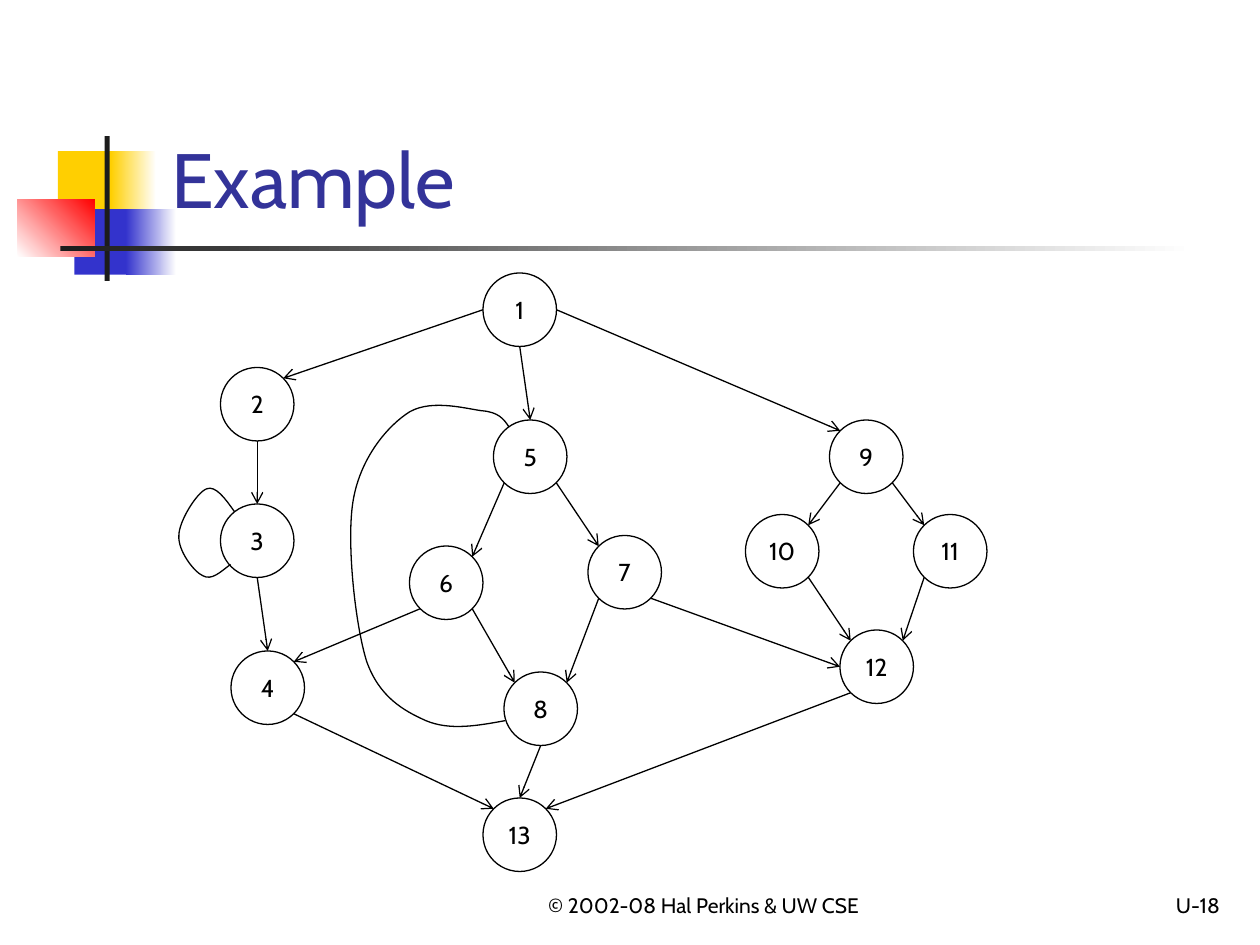
from math import sqrt

from lxml import etree
from pptx import Presentation
from pptx.dml.color import RGBColor
from pptx.enum.shapes import MSO_CONNECTOR, MSO_SHAPE
from pptx.enum.text import MSO_ANCHOR, PP_ALIGN
from pptx.oxml.ns import qn
from pptx.util import Inches, Pt

STRAIGHT = MSO_CONNECTOR.STRAIGHT
RECTANGLE, OVAL = MSO_SHAPE.RECTANGLE, MSO_SHAPE.OVAL
MIDDLE, BOTTOM = MSO_ANCHOR.MIDDLE, MSO_ANCHOR.BOTTOM
LEFT, CENTER, RIGHT = PP_ALIGN.LEFT, PP_ALIGN.CENTER, PP_ALIGN.RIGHT

FONT = "Cabin"
COLORS = {
    "yellow": "FFCF01", "blue": "3333CC", "red": "FF0000", "bar": "1C1C1C",
    "white": "FFFFFF", "title": "333399", "ink": "000000",
}
LINE_WIDTH = Pt(0.75)

GRID = 1 / 12  # inches per grid step
NODE_STEPS = 7  # node diameter in grid steps

# Column and row of each node's top left corner
NODES = {
    1: (46, 26), 2: (21, 35), 3: (21, 48), 4: (22, 62), 5: (47, 40),
    6: (39, 52), 7: (56, 51), 8: (48, 64), 9: (79, 40), 10: (71, 49),
    11: (87, 49), 12: (80, 60), 13: (46, 76),
}

DIAGONAL = 1 / sqrt(2)
SITES = {
    "top": (0, -1), "bottom": (0, 1), "left": (-1, 0), "right": (1, 0),
    "top left": (-DIAGONAL, -DIAGONAL), "top right": (DIAGONAL, -DIAGONAL),
    "bottom left": (-DIAGONAL, DIAGONAL), "bottom right": (DIAGONAL, DIAGONAL),
}

EDGES = [
    (1, "bottom", 5, "top"), (1, "right", 9, "top left"),
    (9, "bottom left", 10, "top right"), (9, "bottom right", 11, "top left"),
    (10, "bottom right", 12, "top left"), (11, "bottom left", 12, "top right"),
    (7, "bottom right", 12, "left"), (5, "bottom right", 7, "top left"),
    (5, "bottom left", 6, "top right"), (6, "bottom right", 8, "top left"),
    (7, "bottom left", 8, "top right"), (8, "bottom", 13, "top"),
    (12, "bottom left", 13, "top right"), (4, "bottom right", 13, "top left"),
    (6, "bottom left", 4, "top right"), (1, "left", 2, "top right"),
    (2, "bottom", 3, "top"), (3, "bottom", 4, "top"),
]

# Start point, then two control points and an end point per Bézier segment
LOOP_AT_3 = [
    (1.83, 4.48), (1.75, 4.54), (1.68, 4.61), (1.61, 4.57),
    (1.54, 4.54), (1.41, 4.37), (1.42, 4.25),
    (1.42, 4.14), (1.56, 3.91), (1.64, 3.88),
    (1.71, 3.85), (1.79, 3.96), (1.86, 4.06),
]
LOOP_8_TO_5 = [
    (4.01, 5.72), (3.79, 5.76), (3.57, 5.8), (3.38, 5.72),
    (3.2, 5.64), (3.01, 5.53), (2.91, 5.25),
    (2.82, 4.96), (2.75, 4.32), (2.8, 3.99),
    (2.85, 3.66), (3.05, 3.41), (3.22, 3.29),
    (3.39, 3.16), (3.68, 3.24), (3.82, 3.26),
    (3.96, 3.27), (4, 3.33), (4.04, 3.39),
]

# Left, top, width, height, colours (two make a gradient), gradient angle
DECORATION = [
    (0.46, 1.2, 0.48, 0.52, ["yellow"], 0),
    (0.88, 1.2, 0.36, 0.52, ["yellow", "white"], 0),
    (0.59, 1.66, 0.46, 0.52, ["blue"], 0),
    (1, 1.66, 0.4, 0.52, ["blue", "white"], 0),
    (0.14, 1.58, 0.61, 0.46, ["white", "red"], 45),
    (0.83, 1.08, 0.04, 1.15, ["bar"], 0),
    (0.48, 1.95, 9, 0.04, ["bar", "white"], 0),
]


def color(name):
    return RGBColor.from_string(COLORS[name])


def inches(*values):
    return [Inches(value) for value in values]


def set_text(shape, text, size, color_name, align, anchor, wrap=True):
    frame = shape.text_frame
    frame.text = text
    frame.word_wrap = wrap
    frame.vertical_anchor = anchor
    paragraph = frame.paragraphs[0]
    paragraph.alignment = align
    paragraph.font.name = FONT
    paragraph.font.size = Pt(size)
    paragraph.font.color.rgb = color(color_name)


def set_outline(shape):
    shape.line.color.rgb = color("ink")
    shape.line.width = LINE_WIDTH


def add_block(slide, left, top, width, height, names, angle):
    shape = slide.shapes.add_shape(RECTANGLE, *inches(left, top, width, height))
    shape.shadow.inherit = False
    shape.line.fill.background()
    if len(names) == 1:
        shape.fill.solid()
        shape.fill.fore_color.rgb = color(names[0])
        return
    shape.fill.gradient()
    shape.fill.gradient_angle = angle
    for stop, name in zip(shape.fill.gradient_stops, names):
        stop.color.rgb = color(name)


def add_title(slide, text):
    title = slide.shapes.title
    title.left, title.top, title.width, title.height = inches(1.26, 0.23, 8.52, 1.6)
    set_text(title, text, 44, "title", LEFT, BOTTOM)


def add_footer(slide, left, width, text, align):
    box = slide.shapes.add_textbox(*inches(left, 6.83, width, 0.5))
    set_text(box, text, 12, "ink", align, BOTTOM)


def add_node(slide, number):
    column, row = NODES[number]
    bounds = [steps * GRID for steps in (column, row, NODE_STEPS, NODE_STEPS)]
    shape = slide.shapes.add_shape(OVAL, *inches(*bounds))
    shape.shadow.inherit = False
    shape.fill.background()
    set_outline(shape)
    set_text(shape, str(number), 14, "ink", CENTER, MIDDLE, wrap=False)


def site_point(number, site):
    """Return the point on a node's rim that lies in the named direction."""
    radius = NODE_STEPS / 2
    return inches(*((corner + radius + radius * direction) * GRID
                    for corner, direction in zip(NODES[number], SITES[site])))


def add_edge(slide, source, source_site, target, target_site):
    connector = slide.shapes.add_connector(
        STRAIGHT, *site_point(source, source_site), *site_point(target, target_site))
    set_outline(connector)
    etree.SubElement(connector.line._get_or_add_ln(), qn("a:tailEnd"), type="arrow")
    etree.SubElement(connector._element.spPr, qn("a:effectLst"))


def add_curve(slide, points):
    """Draw a freeform, then turn each three line segments into a Bézier segment."""
    start, *vertices = [inches(*point) for point in points]
    builder = slide.shapes.build_freeform(*start)
    builder.add_line_segments(vertices, close=False)
    shape = builder.convert_to_shape()
    segments = list(shape._element.iter(qn("a:lnTo")))
    for first in range(0, len(segments), 3):
        curve = etree.Element(qn("a:cubicBezTo"))
        segments[first].addprevious(curve)
        for segment in segments[first:first + 3]:
            curve.append(segment[0])
            segment.getparent().remove(segment)
    shape.shadow.inherit = False
    shape.fill.background()
    set_outline(shape)


def main():
    presentation = Presentation()
    presentation.slide_width, presentation.slide_height = inches(10, 7.5)
    slide = presentation.slides.add_slide(presentation.slide_layouts[5])
    for block in DECORATION:
        add_block(slide, *block)
    add_title(slide, "Example")
    add_footer(slide, 4, 3.17, "© 2002-08 Hal Perkins & UW CSE", CENTER)
    add_footer(slide, 7.7, 2.08, "U-18", RIGHT)
    for number in NODES:
        add_node(slide, number)
    for edge in EDGES:
        add_edge(slide, *edge)
    for curve in (LOOP_AT_3, LOOP_8_TO_5):
        add_curve(slide, curve)
    presentation.save("out.pptx")


if __name__ == "__main__":
    main()
